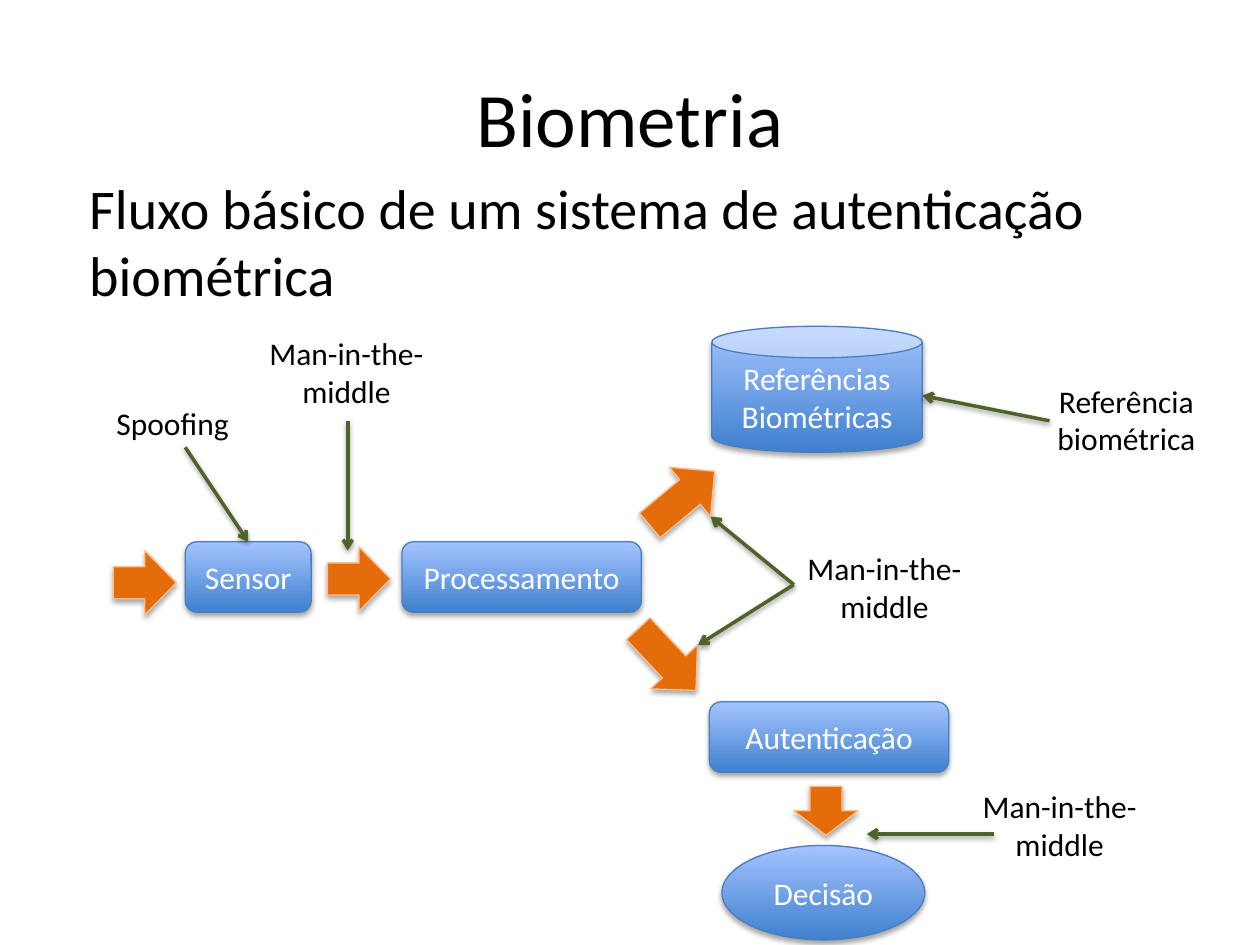
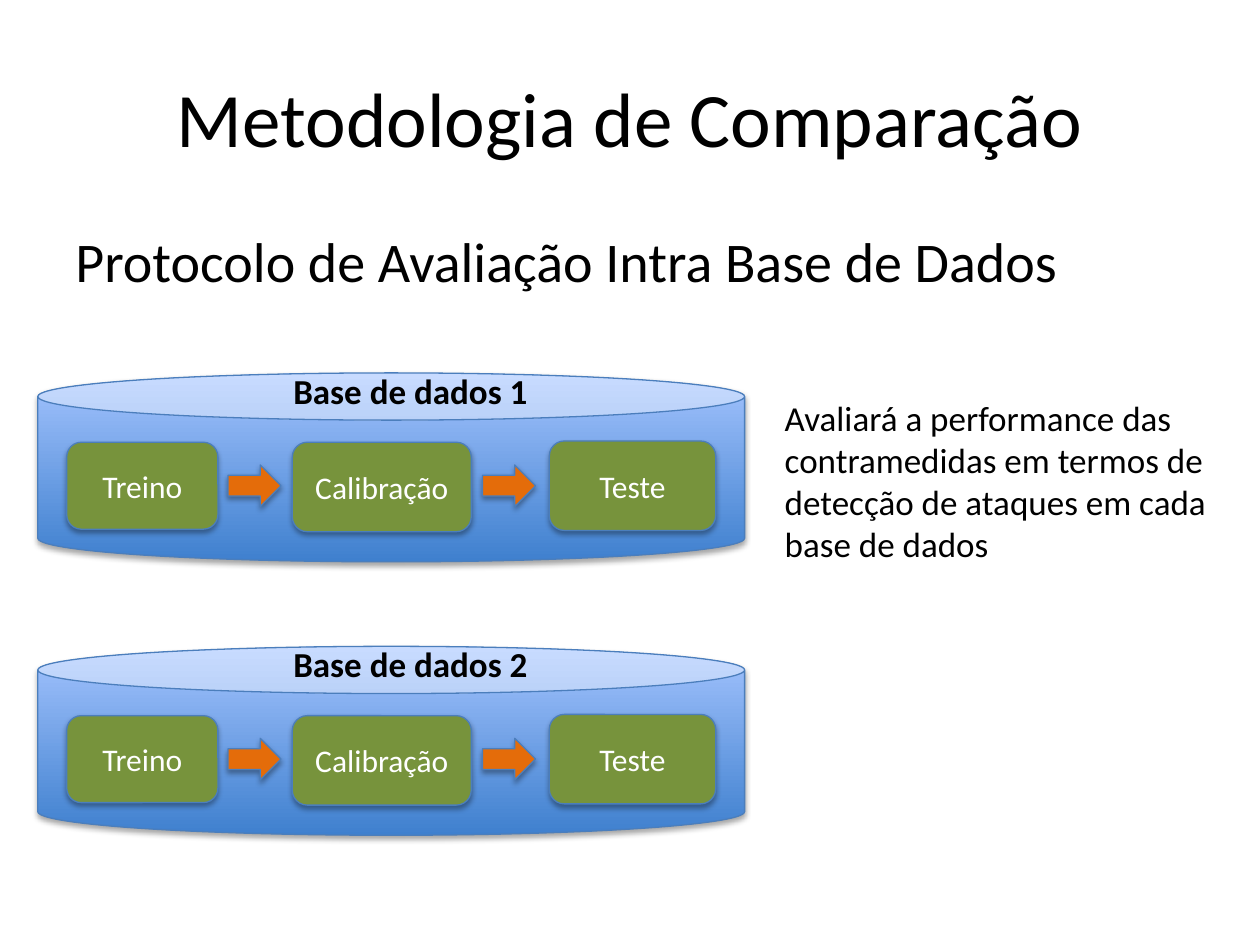
from lxml import etree
from pptx import Presentation
from pptx.dml.color import RGBColor
from pptx.enum.shapes import MSO_CONNECTOR, MSO_SHAPE as Preset
from pptx.enum.text import MSO_ANCHOR as Anchor, PP_ALIGN as Align
from pptx.oxml import parse_xml
from pptx.oxml.ns import nsdecls, qn
from pptx.util import Inches, Pt

BLACK, WHITE = "000000", "FFFFFF"
BLUE_DARK, BLUE_LIGHT, BLUE_EDGE = "3F80CE", "A4C4FF", "4B7EBC"
ORANGE, ORANGE_EDGE = "E46C0A", "FAC090"
GREEN, GREEN_DARK = "77933C", "4F6228"


def color(value):
    return RGBColor.from_string(value)


class SlideBuilder:
    font_name = "Calibri"
    title_area = (0.5, 0.3, 9, 1.25)
    title_size, body_size, label_size, note_size = 44, 32, 18, 20

    def __init__(self, deck):
        self.deck = deck
        self.shapes = None

    def start_slide(self, title):
        page = self.deck.slides.add_slide(self.deck.slide_layouts[5])
        self.shapes = page.shapes
        box = page.shapes.title
        places = zip(("left", "top", "width", "height"), self.title_area)
        for name, value in places:
            setattr(box, name, Inches(value))
        self.fill_text(box, title, self.title_size, align=Align.CENTER, anchor=Anchor.MIDDLE)

    def fill_text(self, box, text, size, ink=BLACK, align=Align.LEFT, anchor=Anchor.TOP,
                  bold=False, wrap=True):
        frame = box.text_frame
        frame.word_wrap = wrap
        frame.vertical_anchor = anchor
        frame.text = text
        formats = {"name": self.font_name, "size": Pt(size), "bold": bold}
        for para in frame.paragraphs:
            para.alignment = align
            for span in para.runs:
                for name, value in formats.items():
                    setattr(span.font, name, value)
                span.font.color.rgb = color(ink)

    def text(self, area, text, size, indent=0, **formats):
        box = self.shapes.add_textbox(*map(Inches, area))
        self.fill_text(box, text, size, **formats)
        if indent:
            box.text_frame.paragraphs[0]._p.get_or_add_pPr().set("marL", str(Inches(indent)))

    def label(self, area, text):
        self.text(area, text, self.label_size, align=Align.CENTER, wrap=False)

    def add_shadow(self, item, opacity, distance):
        item._element.spPr.append(parse_xml(
            f'<a:effectLst {nsdecls("a")}><a:outerShdw blurRad="{Pt(3.1)}" '
            f'dist="{Pt(distance)}" dir="5400000" rotWithShape="0">'
            f'<a:srgbClr val="{BLACK}"><a:alpha val="{opacity * 1000}"/></a:srgbClr>'
            '</a:outerShdw></a:effectLst>'))

    def shape(self, preset, area, text="", fill=None, edge=BLUE_EDGE, rotation=0):
        shape = self.shapes.add_shape(preset, *map(Inches, area))
        shape.rotation = rotation
        if fill:
            shape.fill.solid()
            shape.fill.fore_color.rgb = color(fill)
        else:
            shape.fill.gradient()
            shape.fill.gradient_angle = 90
            for stop, shade in zip(shape.fill.gradient_stops, (BLUE_DARK, BLUE_LIGHT)):
                stop.color.rgb = color(shade)
        shape.line.color.rgb = color(edge)
        shape.line.width = Pt(0.75)
        self.add_shadow(shape, 35, 1.8)
        if text:
            self.fill_text(shape, text, self.label_size, WHITE, Align.CENTER, Anchor.MIDDLE)

    def block_arrow(self, area, edge=ORANGE_EDGE, rotation=0):
        self.shape(Preset.RIGHT_ARROW, area, fill=ORANGE, edge=edge, rotation=rotation)

    def pointer(self, start, end):
        line = self.shapes.add_connector(MSO_CONNECTOR.STRAIGHT, *map(Inches, start + end))
        line.line.color.rgb = color(GREEN_DARK)
        line.line.width = Pt(2)
        outline = line._element.spPr.find(qn("a:ln"))
        etree.SubElement(outline, qn("a:tailEnd")).set("type", "arrow")
        self.add_shadow(line, 38, 1.6)

    def database(self, top, name):
        slide_shapes = self.shapes
        self.shapes = slide_shapes.add_group_shape().shapes
        self.shape(Preset.CAN, (0.3, top, 5.61, 1.5))
        steps = (
            ("Treino", 0.53, 0.55, 1.2, 0.69),
            ("Calibração", 2.32, 0.55, 1.42, 0.71),
            ("Teste", 4.36, 0.54, 1.32, 0.71),
        )
        for step, left, offset, width, height in steps:
            self.shape(Preset.ROUNDED_RECTANGLE, (left, top + offset, width, height),
                       step, fill=GREEN)
        self.text((2.23, top - 0.08, 2.13, 0.44), name, self.note_size, bold=True)
        for left in (1.81, 3.83):
            self.block_arrow((left, top + 0.73, 0.42, 0.33), edge=BLUE_EDGE)
        self.shapes = slide_shapes


def build_biometrics(builder):
    builder.start_slide("Biometria")
    builder.text((0.49, 1.33, 9, 4.95), "Fluxo básico de um sistema de autenticação biométrica",
                 builder.body_size, indent=0.12)

    stages = (
        (Preset.ROUNDED_RECTANGLE, (1.47, 4.3, 1, 0.56), "Sensor"),
        (Preset.ROUNDED_RECTANGLE, (3.19, 4.3, 1.9, 0.56), "Processamento"),
        (Preset.ROUNDED_RECTANGLE, (5.63, 5.57, 1.9, 0.56), "Autenticação"),
        (Preset.CAN, (5.65, 2.59, 1.67, 1), "Referências\nBiométricas"),
        (Preset.OVAL, (5.73, 6.71, 1.61, 0.75), "Decisão"),
    )
    for stage in stages:
        builder.shape(*stage)

    flow_arrows = (
        ((0.9, 4.37, 0.5, 0.51), 0),
        ((2.6, 4.34, 0.5, 0.51), 0),
        ((5.08, 3.7, 0.67, 0.51), 320.1),
        ((4.96, 4.98, 0.67, 0.51), 46.9),
        ((6.36, 6.18, 0.39, 0.51), 90),
    )
    for area, rotation in flow_arrows:
        builder.block_arrow(area, rotation=rotation)

    attack_pointers = (
        ((1.47, 3.55), (1.97, 4.3)),
        ((2.76, 3.34), (2.76, 4.37)),
        ((6.3, 4.64), (5.64, 4.1)),
        ((6.3, 4.64), (5.54, 5.12)),
        ((8.33, 3.34), (7.32, 3.14)),
        ((7.89, 6.62), (6.88, 6.62)),
    )
    for start, end in attack_pointers:
        builder.pointer(start, end)

    builder.label((0.82, 3.16, 1.1, 0.4), "Spoofing")
    for left, top in ((2.03, 2.6), (6.3, 4.31), (7.69, 6.2)):
        builder.label((left, top, 1.44, 0.71), "Man-in-the-\nmiddle")
    builder.label((8.29, 2.98, 1.3, 0.71), "Referência\nbiométrica")


def build_methodology(builder):
    builder.start_slide("Metodologia de Comparação")
    builder.text((0.5, 1.75, 9, 4.95), "Protocolo de Avaliação Intra Base de Dados",
                 builder.body_size)
    for number, top in enumerate((2.96, 5.13), start=1):
        builder.database(top, f"Base de dados {number}")
    builder.text((6.13, 3.1, 3.8, 1.78),
                 "Avaliará a performance das contramedidas em termos de "
                 "detecção de ataques em cada base de dados", builder.note_size)


def main():
    deck = Presentation()
    deck.slide_width, deck.slide_height = Inches(10), Inches(7.5)
    builder = SlideBuilder(deck)
    build_biometrics(builder)
    build_methodology(builder)
    deck.save("out.pptx")


if __name__ == "__main__":
    main()
